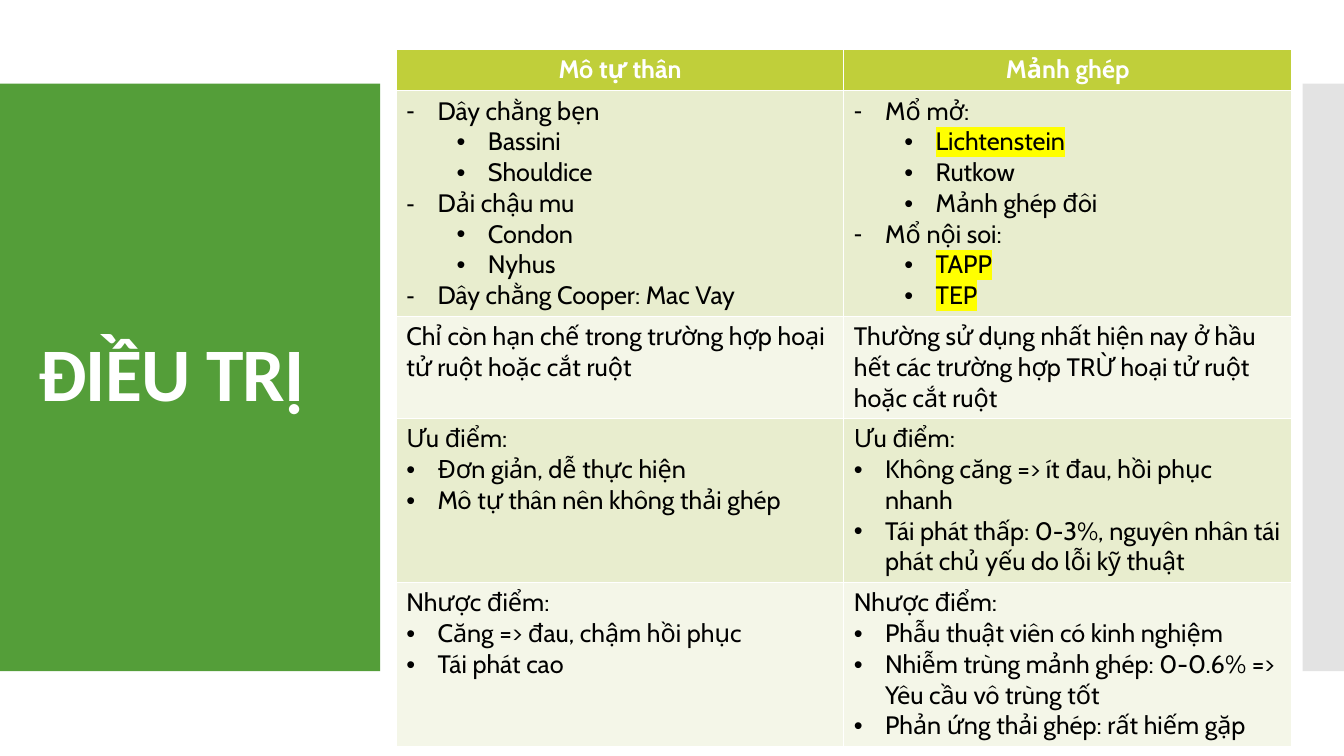
from dataclasses import dataclass

from lxml import etree
from pptx import Presentation
from pptx import util as u
from pptx.dml import color
from pptx.enum import shapes, text
from pptx.oxml import ns

PX = 9144  # EMU in one px, 100 px to the inch


@dataclass(frozen=True)
class Theme:
    green: str = "549E39"
    grey: str = "C8C8C8"
    lime: str = "C0CF3A"
    bands: tuple = ("E8EDCE", "F4F6E8")
    white: str = "FFFFFF"
    black: str = "000000"
    marker: str = "FFFF00"
    title_font: str = "Calibri"
    table_font: str = "Cabin"
    title_size: int = 54
    table_size: int = 18


# Paragraph kinds: left margin in px, bullet and level
PLAIN, DASH, DOT, SUB = (0, None, 0), (31, "-", 0), (31, "•", 0), (81, "•", 1)
HANGING = 31


def rgb(value):
    return color.RGBColor.from_string(value)


def add_xml(parent, tag, **attributes):
    values = {name: str(value) for name, value in attributes.items()}
    return etree.SubElement(parent, ns.qn(tag), values)


def apply(target, values):
    for name, value in values.items():
        setattr(target, name, value)


class SlideBuilder:
    def __init__(self, presentation, theme):
        self.theme = theme
        self.slide = presentation.slides.add_slide(presentation.slide_layouts[5])

    def style(self, font, ink, **values):
        apply(font, values)
        font.color.rgb = rgb(ink)

    def title(self, wording, left, top, width, height):
        title = self.slide.shapes.title
        apply(title, dict(left=left * PX, top=top * PX, width=width * PX, height=height * PX))
        frame = title.text_frame
        apply(frame, dict(text=wording, word_wrap=True, auto_size=text.MSO_AUTO_SIZE.NONE,
                          vertical_anchor=text.MSO_ANCHOR.MIDDLE))
        paragraph = frame.paragraphs[0]
        apply(paragraph, dict(alignment=text.PP_ALIGN.LEFT, line_spacing=0.9))
        run = paragraph.runs[0]
        self.style(run.font, self.theme.white, name=self.theme.title_font,
                   size=u.Pt(self.theme.title_size), bold=True)
        run.font._element.set("spc", "-60")

    def panel(self, fill, left, top, width, height, opacity=100):
        panel = self.slide.shapes.add_shape(
            shapes.MSO_SHAPE.RECTANGLE, left * PX, top * PX, width * PX, height * PX)
        panel.shadow.inherit = False
        panel.fill.solid()
        panel.fill.fore_color.rgb = rgb(fill)
        panel.line.fill.background()
        if opacity < 100:
            ink = panel.element.spPr.find(".//" + ns.qn("a:srgbClr"))
            add_xml(ink, "a:alpha", val=opacity * 1000)
        # Panels lie behind the title
        self.slide.shapes.title.element.addprevious(panel.element)

    def paragraph(self, paragraph, wording, kind, ink, bold, marked):
        margin, bullet, paragraph.level = kind
        if bullet:
            properties = paragraph._p.get_or_add_pPr()
            properties.set("marL", str(margin * PX))
            properties.set("indent", str(-HANGING * PX))
            add_xml(properties, "a:buFont", typeface="Arial")
            add_xml(properties, "a:buChar", char=bullet)
        run = paragraph.add_run()
        run.text = wording
        self.style(run.font, ink, name=self.theme.table_font,
                   size=u.Pt(self.theme.table_size), bold=bold)
        if marked:
            highlight = etree.Element(ns.qn("a:highlight"))
            add_xml(highlight, "a:srgbClr", val=self.theme.marker)
            run.font._element.find(ns.qn("a:solidFill")).addnext(highlight)

    def cell(self, cell, items, fill, ink, bold, alignment, marked):
        cell.fill.solid()
        cell.fill.fore_color.rgb = rgb(fill)
        frame = cell.text_frame
        for index, (kind, wording) in enumerate(items):
            paragraph = frame.add_paragraph() if index else frame.paragraphs[0]
            paragraph.alignment = alignment
            self.paragraph(paragraph, wording, kind, ink, bold, wording in marked)

    def table(self, headings, rows, left, top, column_width, row_height, marked):
        theme = self.theme
        lines = [[[(PLAIN, heading)] for heading in headings], *rows]
        table = self.slide.shapes.add_table(
            len(lines), len(headings), left * PX, top * PX,
            column_width * len(headings) * PX, row_height * len(lines) * PX).table
        for row, line in enumerate(lines):
            if row:
                look = (theme.bands[(row - 1) % 2], theme.black, False, text.PP_ALIGN.LEFT)
            else:
                look = (theme.lime, theme.white, True, text.PP_ALIGN.CENTER)
            for column, items in enumerate(line):
                self.cell(table.cell(row, column), items, *look, marked)


HEADINGS = ["Mô tự thân", "Mảnh ghép"]
MARKED = {"Lichtenstein", "TAPP", "TEP"}
ROWS = [
    # Techniques
    [[(DASH, "Dây chằng bẹn"), (SUB, "Bassini"), (SUB, "Shouldice"),
      (DASH, "Dải chậu mu"), (SUB, "Condon"), (SUB, "Nyhus"),
      (DASH, "Dây chằng Cooper: Mac Vay")],
     [(DASH, "Mổ mở:"), (SUB, "Lichtenstein"), (SUB, "Rutkow"), (SUB, "Mảnh ghép đôi"),
      (DASH, "Mổ nội soi:"), (SUB, "TAPP"), (SUB, "TEP")]],
    # Indications
    [[(PLAIN, "Chỉ còn hạn chế trong trường hợp hoại tử ruột hoặc cắt ruột")],
     [(PLAIN, "Thường sử dụng nhất hiện nay ở hầu hết các trường hợp TRỪ hoại tử ruột "
              "hoặc cắt ruột")]],
    # Advantages
    [[(PLAIN, "Ưu điểm:"), (DOT, "Đơn giản, dễ thực hiện"),
      (DOT, "Mô tự thân nên không thải ghép")],
     [(PLAIN, "Ưu điểm:"), (DOT, "Không căng => ít đau, hồi phục nhanh"),
      (DOT, "Tái phát thấp: 0-3%, nguyên nhân tái phát chủ yếu do lỗi kỹ thuật")]],
    # Drawbacks
    [[(PLAIN, "Nhược điểm:"), (DOT, "Căng => đau, chậm hồi phục"), (DOT, "Tái phát cao")],
     [(PLAIN, "Nhược điểm:"), (DOT, "Phẫu thuật viên có kinh nghiệm"),
      (DOT, "Nhiễm trùng mảnh ghép: 0-0.6% => Yêu cầu vô trùng tốt"),
      (DOT, "Phản ứng thải ghép: rất hiếm gặp")]],
]


def main():
    presentation = Presentation()
    apply(presentation, dict(slide_width=1333 * PX, slide_height=750 * PX))
    theme = Theme()
    builder = SlideBuilder(presentation, theme)

    # Side panels and title
    builder.panel(theme.green, 0, 83, 377, 583)
    builder.panel(theme.grey, 1292, 83, 41, 583, opacity=50)
    builder.title("ĐIỀU TRỊ", 28, 123, 322, 503)

    # Comparison table; rows grow with their text
    builder.table(HEADINGS, ROWS, left=393, top=49, column_width=444, row_height=41,
                  marked=MARKED)
    presentation.save("out.pptx")


if __name__ == "__main__":
    main()
